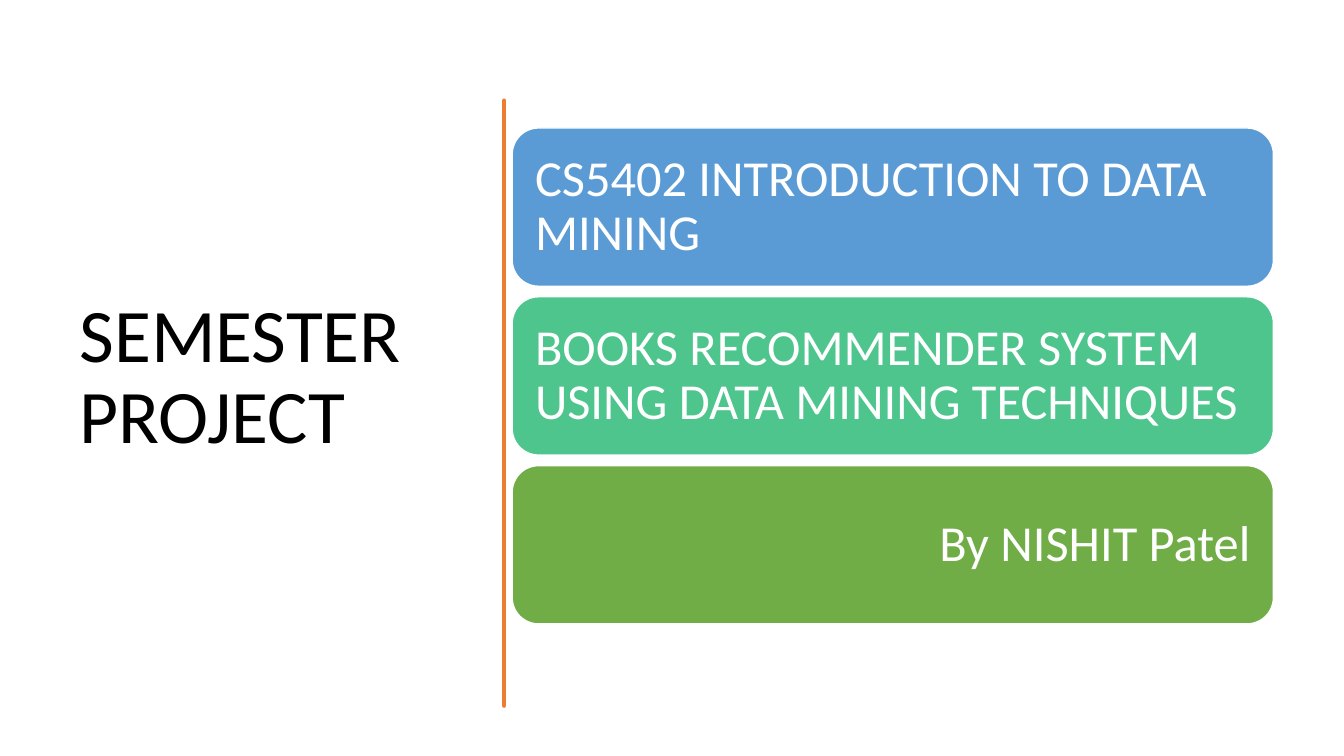
"""Build the semester project title slide."""
import pptx
import pptx.util
import pptx.dml.color
import pptx.enum.shapes
import pptx.enum.text

Inches = pptx.util.Inches
Pt = pptx.util.Pt
Align = pptx.enum.text.PP_ALIGN
COLORS = {"text": "000000", "white": "FFFFFF", "line": "ED7D31",
          "course": "5B9BD5", "topic": "4DC58D", "author": "70AD47"}
CARDS = [
    ("CS5402 INTRODUCTION TO DATA MINING", "course", Align.LEFT),
    ("BOOKS RECOMMENDER SYSTEM USING DATA MINING TECHNIQUES", "topic", Align.LEFT),
    ("By NISHIT Patel", "author", Align.RIGHT),
]
RIGHT = [(4.75, 0.84), (4.76, 1.15), (4.75, 1.46), (4.74, 1.86), (4.75, 2.26),
         (4.74, 2.94), (4.76, 3.3), (4.75, 3.56), (4.76, 4), (4.75, 4.36),
         (4.74, 4.7), (4.75, 5.1), (4.76, 5.5), (4.75, 5.84), (4.74, 6.3),
         (4.75, 6.76)]
LEFT = [(4.73, 6.76), (4.72, 6.45), (4.73, 6.13), (4.73, 5.57), (4.72, 5.2),
        (4.73, 4.77), (4.72, 4.45), (4.73, 4.15), (4.73, 3.35), (4.72, 2.9),
        (4.73, 2.5), (4.73, 1.81), (4.72, 1.6), (4.74, 1.3), (4.73, 0.84)]


def color(name):
    """Return a named colour."""
    return pptx.dml.color.RGBColor.from_string(COLORS[name])


def paint(shape, fill, line, width):
    """Set the fill and outline of a shape."""
    shape.shadow.inherit = False
    shape.fill.solid()
    shape.fill.fore_color.rgb = color(fill)
    shape.line.color.rgb = color(line)
    shape.line.width = Pt(width)


def write(shape, text, size, ink, align, after):
    """Write one centred-height paragraph into a shape."""
    frame = shape.text_frame
    frame.word_wrap = True
    frame.vertical_anchor = pptx.enum.text.MSO_ANCHOR.MIDDLE
    para = frame.paragraphs[0]
    para.alignment = align
    para.line_spacing = 0.9
    para.space_after = Pt(after)
    run = para.add_run()
    run.text = text
    run.font.name = "Calibri"
    run.font.size = Pt(size)
    run.font.color.rgb = color(ink)


def add_title(slide):
    """Add the title on the left."""
    box = slide.shapes.add_textbox(Inches(0.69), Inches(0.7), Inches(3.74), Inches(6.11))
    write(box, "SEMESTER PROJECT", 54, "text", Align.LEFT, 6)


def add_rule(slide):
    """Add the hand-drawn upright rule."""
    start, *rest = RIGHT + LEFT
    form = slide.shapes.build_freeform(*start, scale=Inches(1))
    form.add_line_segments(rest, close=True)
    paint(form.convert_to_shape(), "line", "line", 3.25)


def add_card(slide, top, text, fill, align):
    """Add one rounded card with its text."""
    kind = pptx.enum.shapes.MSO_SHAPE.ROUNDED_RECTANGLE
    card = slide.shapes.add_shape(kind, Inches(5.08), Inches(top), Inches(7.55), Inches(1.57))
    paint(card, fill, "white", 1)
    frame = card.text_frame
    frame.margin_left = frame.margin_right = Inches(0.15)
    frame.margin_top = frame.margin_bottom = Inches(0.15)
    write(card, text, 36, "white", align, 0)


def main():
    """Build and save the slide."""
    deck = pptx.Presentation()
    deck.slide_width = Inches(13.33)
    deck.slide_height = Inches(7.5)
    slide = deck.slides.add_slide(deck.slide_layouts[6])
    add_title(slide)
    add_rule(slide)
    for row, (text, fill, align) in enumerate(CARDS):
        add_card(slide, 1.27 + 1.675 * row, text, fill, align)
    deck.save("out.pptx")


if __name__ == "__main__":
    main()
